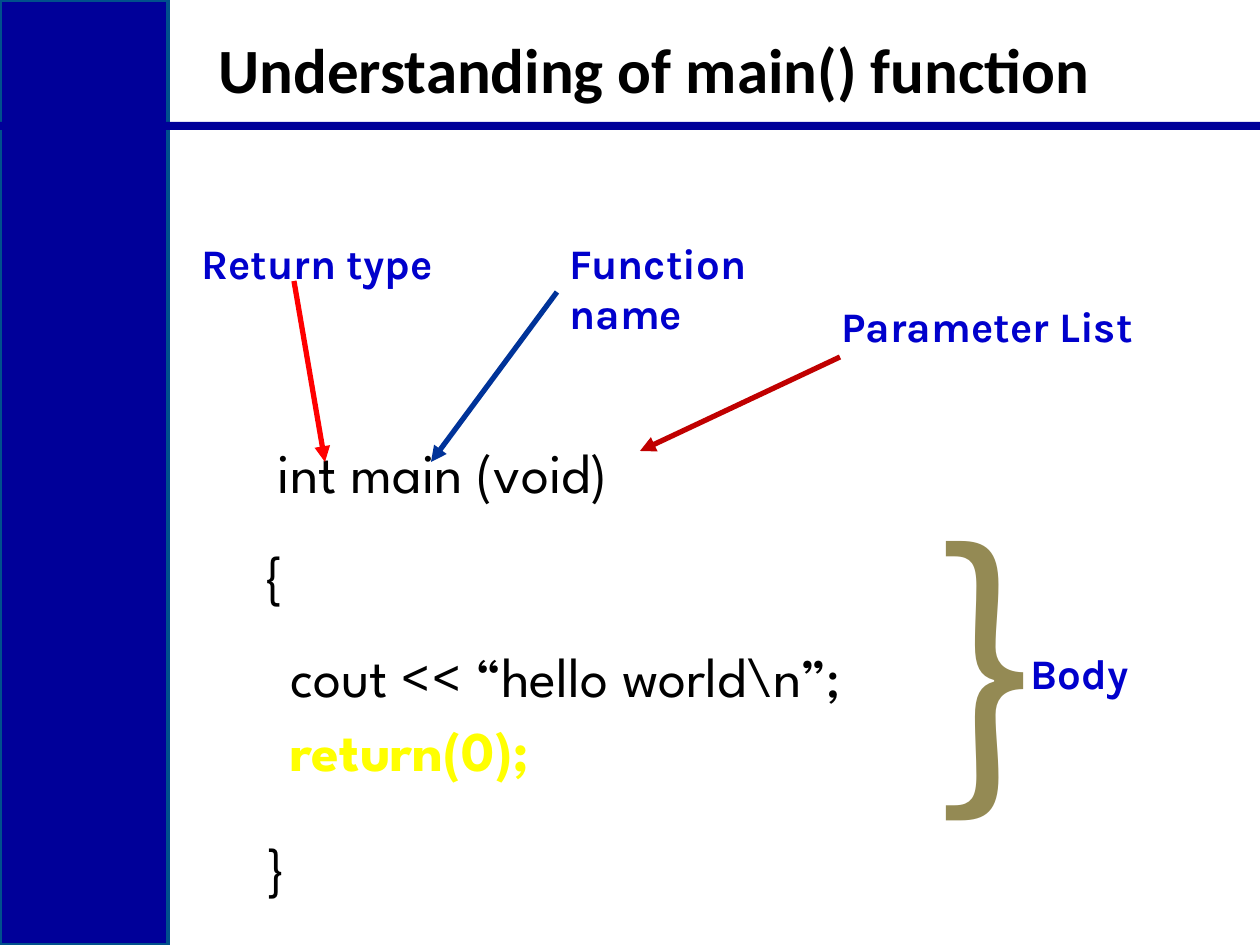
from pptx import Presentation
from pptx import util as u
from pptx.dml.color import RGBColor
from pptx.enum import shapes, text
from pptx.oxml.ns import qn
from lxml import etree

SCALE = 914400 // 126  # EMU in one px
WIDE, HIGH = 1260, 945
NAVY, BLUE = "000099", "0000CC"
LABEL = {"name": "Karla", "size": u.Pt(24), "bold": True}
CODE = {"name": "League Spartan", "size": u.Pt(32), "bold": False}
HEAD = {"name": "Calibri", "size": u.Pt(36), "bold": True}
BRACE = {"name": "Noto Sans CJK JP", "size": u.Pt(166), "bold": False}


def px(n):
    return u.Emu(n * SCALE)


def rgb(code):
    return RGBColor.from_string(code)


class Page:
    def __init__(self, deck):
        self.slide = deck.slides.add_slide(deck.slide_layouts[5])
        self.shapes = self.slide.shapes

    def style(self, run, look, color):
        for key, val in look.items():
            setattr(run.font, key, val)
        run.font.color.rgb = rgb(color)

    def title(self, words, box):
        head = self.shapes.title
        head.left, head.top, head.width, head.height = map(px, box)
        frame = head.text_frame
        frame.auto_size = text.MSO_AUTO_SIZE.NONE
        frame.vertical_anchor = text.MSO_ANCHOR.MIDDLE
        frame.margin_right = px(27)
        para = frame.paragraphs[0]
        para.alignment = text.PP_ALIGN.CENTER
        run = para.add_run()
        run.text = words
        self.style(run, HEAD, "000000")

    def bar(self, box, edge=None):
        bar = self.shapes.add_shape(shapes.MSO_SHAPE.RECTANGLE, *map(px, box))
        bar.shadow.inherit = False
        bar.fill.solid()
        bar.fill.fore_color.rgb = rgb(NAVY)
        if edge:
            bar.line.color.rgb = rgb(edge)
            bar.line.width = u.Pt(2)
        else:
            bar.line.fill.background()

    def note(self, box, lines, look):
        """Each line: words, colour, indent in px, space before, more format."""
        frame = self.shapes.add_textbox(*map(px, box)).text_frame
        frame.word_wrap = True
        for i, (words, color, indent, gap, more) in enumerate(lines):
            para = frame.add_paragraph() if i else frame.paragraphs[0]
            para.space_before = u.Pt(gap)
            para.space_after = u.Pt(more.get("after", 0))
            if indent:
                para._p.get_or_add_pPr().set("marL", str(px(indent)))
            run = para.add_run()
            run.text = words
            self.style(run, look | more.get("font", {}), color)

    def arrow(self, ends, color):
        line = self.shapes.add_connector(
            shapes.MSO_CONNECTOR.STRAIGHT, *map(px, ends))
        line.line.color.rgb = rgb(color)
        line.line.width = u.Pt(3)
        tip = etree.SubElement(line.line._get_or_add_ln(), qn("a:tailEnd"))
        tip.set("type", "triangle")
        etree.SubElement(line._element.spPr, qn("a:effectLst"))


def main():
    deck = Presentation()
    deck.slide_width, deck.slide_height = px(WIDE), px(HIGH)
    page = Page(deck)

    # Side band, rule and title
    page.bar((0, 0, 168, HIGH), "00508C")
    page.bar((0, 122, WIDE, 8))
    page.title("Understanding of main() function", (168, 21, 987, 95))

    # Program text
    page.note((252, 431, 714, 474), [
        ("int main (void)", "000000", 13, 20, {}),
        ("{", "000000", 0, 20, {}),
        ("cout << “hello world\\n”;", "000000", 26, 20, {}),
        ("return(0);", "FFFF00", 26, 3.7,
         {"after": 8, "font": {"bold": True}}),
        ("}", "000000", 0, 20, {}),
    ], CODE)

    # Labels
    for words, box in (
        ("Return type", (189, 231, 325, 63)),
        ("Function name", (557, 231, 284, 113)),
        ("Parameter List", (829, 294, 347, 63)),
        ("Body", (1018, 641, 210, 63)),
    ):
        page.note(box, [(words, BLUE, 0, 15, {})], LABEL)

    # Arrows from the labels to the code
    for ends, color in (
        ((294, 281, 325, 462), "FF0000"),
        ((557, 292, 431, 462), "003399"),
        ((840, 357, 640, 451), "C00000"),
    ):
        page.arrow(ends, color)

    # Brace around the body
    page.note((924, 475, 116, 362), [("}", "948A54", 0, 0, {})], BRACE)

    deck.save("out.pptx")


if __name__ == "__main__":
    main()
